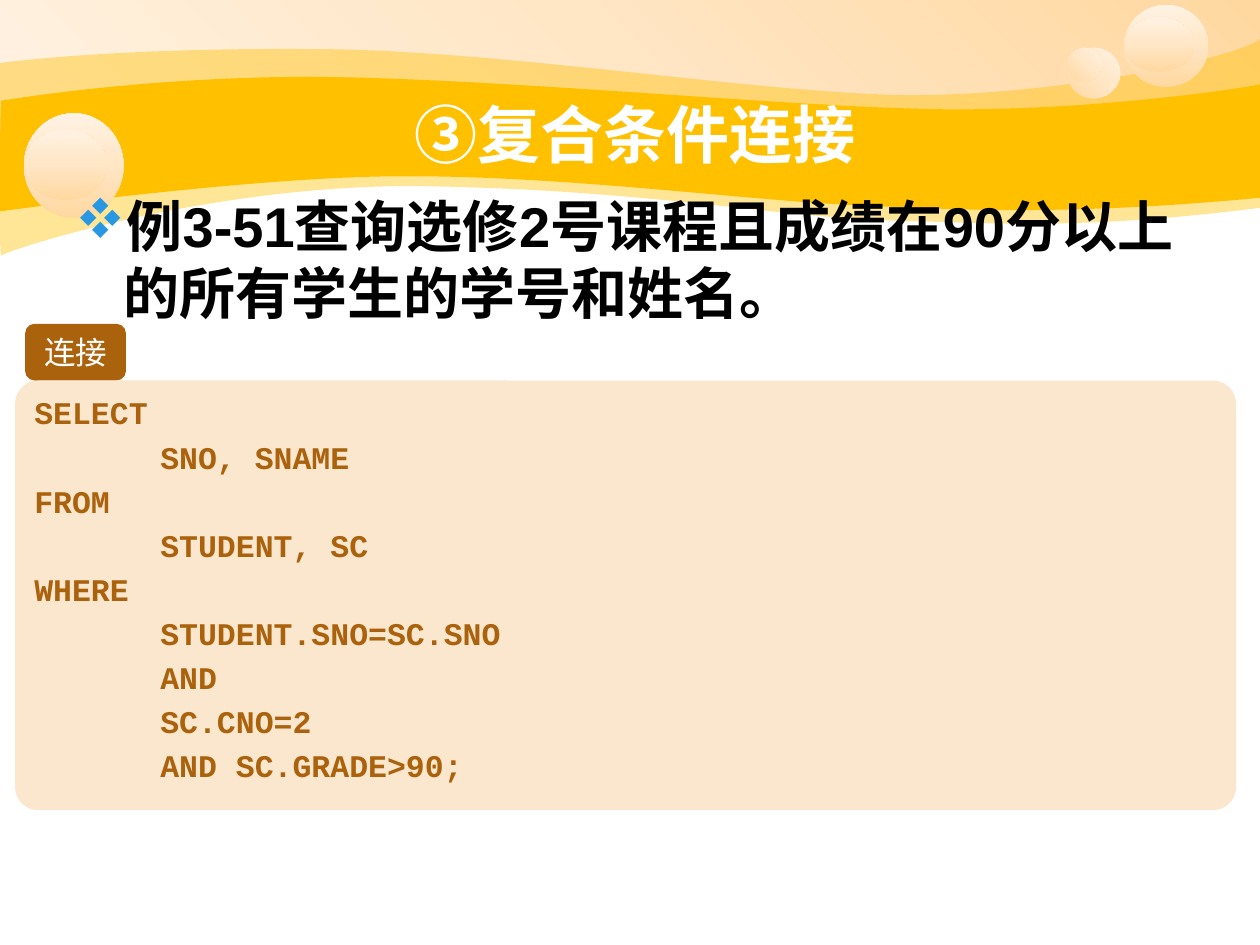
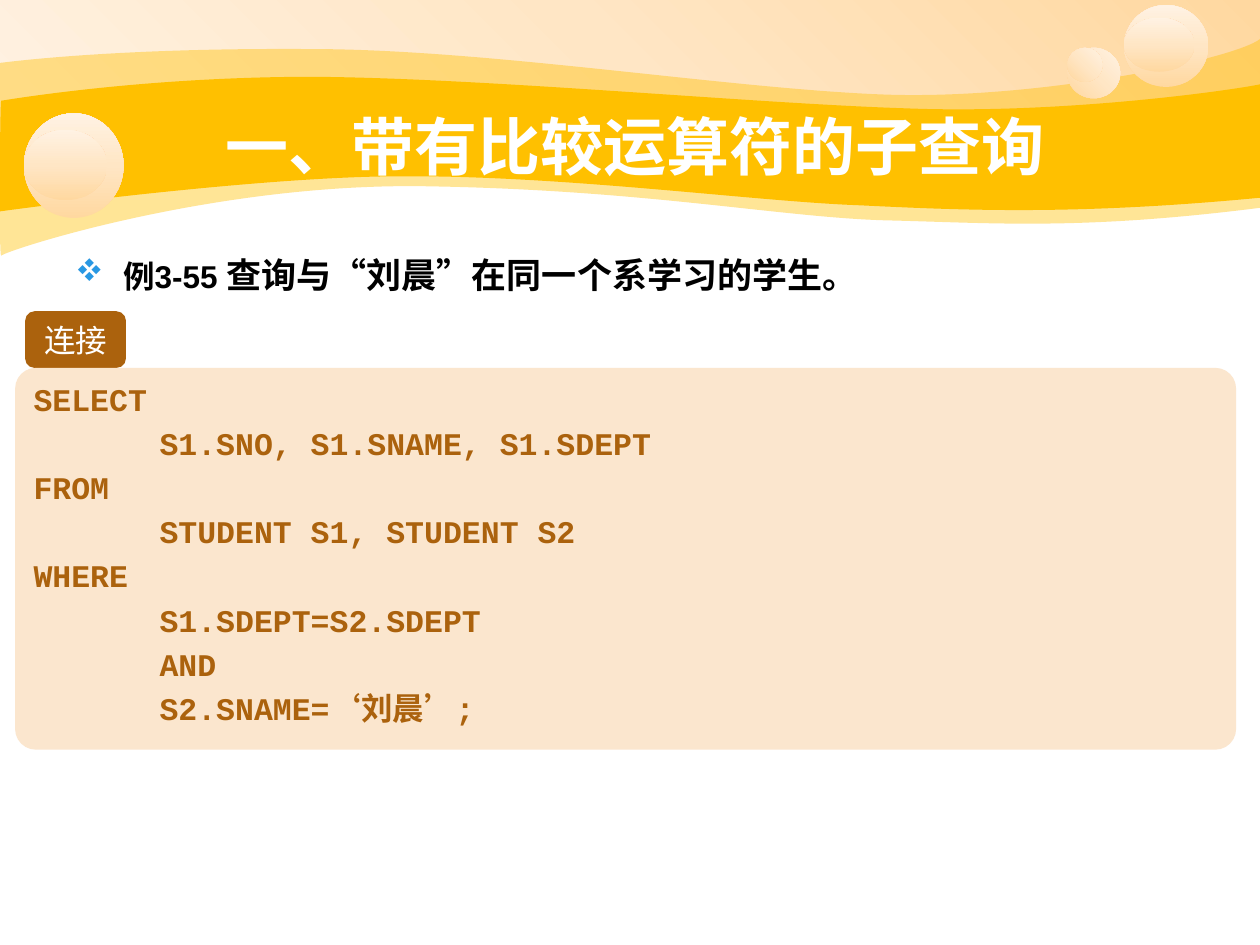
from copy import deepcopy
from itertools import chain

from lxml.etree import SubElement
from pptx import Presentation
from pptx.dml.color import RGBColor
from pptx.enum.shapes import MSO_SHAPE as Shape
from pptx.enum.text import MSO_ANCHOR as Anchor, PP_ALIGN as Align
from pptx.oxml.ns import qn
from pptx.util import Pt

PX = 9144

GOLD = "FFC000"
BROWN = "AB620D"
CREAM = "FBE6CE"
BLUE = "2998E3"
WHITE = "FFFFFF"
BLACK = "000000"
PEACH_STOPS = [(0, "FFD8A0"), (0.5, "FFE6C5"), (1, "FFF2E3")]

PALE_WAVE = [
    [(0, 50)],
    [(24, 47), (107, 38), (247, 39)],
    [(386, 39), (575, 70), (699, 75)],
    [(822, 80), (980, 47), (1000, 31)],
    [(1000, 165)],
    [(858, 183), (788, 177), (705, 175)],
    [(622, 173), (515, 151), (343, 148)],
    [(172, 144), (4, 199), (1, 203)],
    [(-1, 208), (0, 75), (0, 50)],
]
GOLD_WAVE = [
    [(1, 80)],
    [(2, 80), (110, 61), (248, 61)],
    [(386, 62), (595, 82), (718, 86)],
    [(841, 91), (976, 72), (1000, 67)],
    [(1000, 157)],
    [(853, 171), (765, 167), (682, 163)],
    [(599, 160), (447, 139), (317, 140)],
    [(203, 140), (-2, 168), (-1, 168)],
    [(0, 168), (0, 80), (1, 80)],
]
BUBBLES = [
    ((847, 38, 42, 40), 315),
    ((847, 38, 28, 27), 315),
    ((892, 4, 67, 65), 270),
    ((892, 14, 56, 43), 270),
    ((19, 90, 79, 83), 270),
    ((19, 103, 66, 56), 270),
]

JOIN_QUERY = [
    "SELECT",
    "\tSNO, SNAME",
    "FROM",
    "\tSTUDENT, SC",
    "WHERE",
    "\tSTUDENT.SNO=SC.SNO",
    "\tAND",
    "\tSC.CNO=2",
    "\tAND SC.GRADE>90;",
]
SELF_JOIN_QUERY = [
    "SELECT",
    "\tS1.SNO, S1.SNAME, S1.SDEPT",
    "FROM",
    "\tSTUDENT S1, STUDENT S2",
    "WHERE",
    "\tS1.SDEPT=S2.SDEPT",
    "\tAND",
    "\tS2.SNAME=‘刘晨’;",
]


def color(value):
    """Turn a hex string into a colour."""
    return RGBColor.from_string(value)


def emu(lengths):
    """Turn px lengths into EMU."""
    return [length * PX for length in lengths]


def set_font(font, name, fill, size=None, bold=None):
    """Set typeface, colour, size and weight."""
    font.name, font.bold = name, bold
    font.color.rgb = color(fill)
    if size:
        font.size = Pt(size)


def fill_plain(shape, fill):
    """Give a shape a flat fill without line or shadow."""
    shape.shadow.inherit = False
    shape.line.fill.background()
    shape.fill.solid()
    shape.fill.fore_color.rgb = color(fill)


def add_plain_shape(slide, kind, box, fill):
    """Add a preset shape with a flat fill."""
    shape = slide.shapes.add_shape(kind, *emu(box))
    fill_plain(shape, fill)
    return shape


def add_peach_shape(slide, kind, box, clockwise_angle):
    """Add a preset shape with the peach gradient."""
    shape = add_plain_shape(slide, kind, box, CREAM)
    shape.fill.gradient()
    shape.fill.gradient_angle = 360 - clockwise_angle
    stop_list = shape._element.spPr.find(".//" + qn("a:gsLst"))
    stop_list.append(deepcopy(stop_list[0]))
    for stop, (position, value) in zip(shape.fill.gradient_stops, PEACH_STOPS):
        stop.position = position
        stop.color.rgb = color(value)


def bend_segments(wave, segments):
    """Join the lines of each three-point segment into one cubic curve."""
    outline = wave._element.spPr.find(".//" + qn("a:path"))
    lines = iter(outline.findall(qn("a:lnTo")))
    for segment in segments:
        first, *others = [next(lines) for _ in segment]
        if others:
            first.tag = qn("a:cubicBezTo")
        for line in others:
            first.append(line[0])
            outline.remove(line)


def add_wave(slide, segments, fill, opacity=None):
    """Add a closed band bounded by curves."""
    start, *others = [emu(point) for point in chain.from_iterable(segments)]
    builder = slide.shapes.build_freeform(*start)
    builder.add_line_segments(others, close=True)
    wave = builder.convert_to_shape()
    bend_segments(wave, segments[1:])
    fill_plain(wave, fill)
    if opacity:
        value = wave._element.spPr.find(qn("a:solidFill")).find(qn("a:srgbClr"))
        SubElement(value, qn("a:alpha"), val=str(opacity * 1000))


def add_background(slide):
    """Draw the sky, waves and bubbles shared by the slides."""
    add_peach_shape(slide, Shape.RECTANGLE, (0, 0, 1000, 115), 135)
    add_wave(slide, PALE_WAVE, GOLD, opacity=41)
    add_wave(slide, GOLD_WAVE, GOLD)
    for box, angle in BUBBLES:
        add_peach_shape(slide, Shape.OVAL, box, angle)


def add_text_frame(slide, box):
    """Add a wrapping text box and return its frame."""
    frame = slide.shapes.add_textbox(*emu(box)).text_frame
    frame.word_wrap = True
    return frame


def add_title(slide, top, text):
    """Add the centred white title."""
    frame = add_text_frame(slide, (100, top, 808, 62))
    frame.vertical_anchor = Anchor.MIDDLE
    paragraph = frame.paragraphs[0]
    paragraph.text = text
    paragraph.alignment = Align.CENTER
    set_font(paragraph.font, "Arial", WHITE, 36, True)


def add_bullet(paragraph):
    """Give a paragraph a blue diamond bullet and a hanging indent."""
    properties = paragraph._p.get_or_add_pPr()
    properties.set("marL", str(38 * PX))
    properties.set("indent", str(-38 * PX))
    bullet_color = SubElement(properties, qn("a:buClr"))
    SubElement(bullet_color, qn("a:srgbClr"), val=BLUE)
    SubElement(properties, qn("a:buFont"), typeface="Wingdings", charset="2")
    SubElement(properties, qn("a:buChar"), char="v")


def add_tab_stop(paragraph, position):
    """Set one left tab stop."""
    tabs = SubElement(paragraph._p.get_or_add_pPr(), qn("a:tabLst"))
    SubElement(tabs, qn("a:tab"), pos=str(position * PX), algn="l")


def add_question(slide, top, parts, line_spacing=None):
    """Add the bulleted question made of (text, size) parts."""
    paragraph = add_text_frame(slide, (50, top, 900, 492)).paragraphs[0]
    add_bullet(paragraph)
    paragraph.line_spacing = line_spacing
    set_font(paragraph.font, "Arial", BLACK, bold=True)
    for text, size in parts:
        run = paragraph.add_run()
        run.text = text
        run.font.size = Pt(size)


def add_code_panel(slide, top, height, lines):
    """Add the label tab and the code panel below it."""
    tab = add_plain_shape(slide, Shape.ROUNDED_RECTANGLE, (20, top, 80, 45), BROWN)
    label = tab.text_frame.paragraphs[0]
    label.text = "连接"
    label.alignment = Align.CENTER
    set_font(label.font, "DejaVu Sans Mono", WHITE, 18)

    panel = add_plain_shape(slide, Shape.ROUNDED_RECTANGLE, (12, top + 45, 969, height), CREAM)
    panel.adjustments[0] = 0.054
    frame = panel.text_frame
    frame.vertical_anchor = Anchor.TOP
    for index, line in enumerate(lines):
        paragraph = frame.add_paragraph() if index else frame.paragraphs[0]
        paragraph.text = line
        add_tab_stop(paragraph, 100)
        paragraph.alignment = Align.LEFT
        paragraph.space_before = Pt(3.6 if index else 0)
        set_font(paragraph.font, "Courier New", BROWN, 18, True)


def add_slide(presentation):
    """Add a blank slide with the shared background."""
    slide = presentation.slides.add_slide(presentation.slide_layouts[6])
    add_background(slide)
    return slide


def main():
    """Build both slides and save them."""
    presentation = Presentation()
    presentation.slide_width, presentation.slide_height = emu((1000, 750))

    slide = add_slide(presentation)
    add_title(slide, 75, "③复合条件连接")
    add_question(slide, 147, [("例3-51查询选修2号课程且成绩在90分以上的所有学生的学号和姓名。", 32)])
    add_code_panel(slide, 257, 341, JOIN_QUERY)

    slide = add_slide(presentation)
    add_title(slide, 84, "一、带有比较运算符的子查询")
    question = [("例3-55 ", 18), ("查询与“刘晨”在同一个系学习的学生。", 20)]
    add_question(slide, 183, question, line_spacing=1.4)
    add_code_panel(slide, 247, 303, SELF_JOIN_QUERY)

    presentation.save("out.pptx")


if __name__ == "__main__":
    main()
